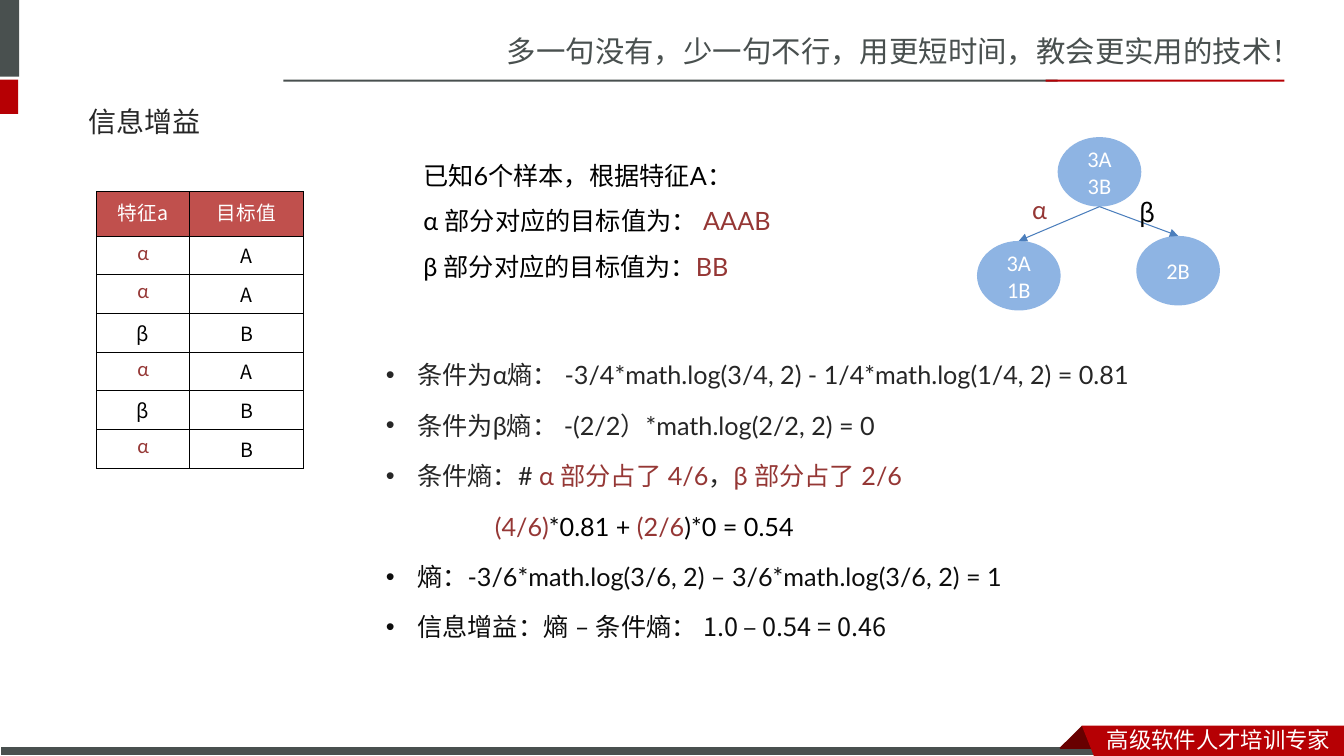
"""Build the slide on information gain, with its sample table and split tree."""
from pptx import Presentation, util as u
from pptx.dml.color import RGBColor
from pptx.enum import shapes as es, text as et
from pptx.oxml import parse_xml
from pptx.oxml.ns import nsdecls

PX = 9144
GRAY, RED, DARK, WINE = "49504F", "B60004", "262626", "953735"
BLACK, WHITE, INK = "000000", "FFFFFF", "0D0D0D"
LATO, CJK, SANS = "Lato", "Noto Sans CJK JP", "Noto Sans CJK SC"
MID, LEFT = et.PP_ALIGN.CENTER, et.PP_ALIGN.LEFT


def rgb(code):
    return RGBColor.from_string(code)


def write(frame, lines, size, font, align=LEFT, space=1.0, gap=0):
    frame.word_wrap = True
    for i, runs in enumerate(lines):
        para = frame.paragraphs[0] if i == 0 else frame.add_paragraph()
        para.alignment, para.line_spacing = align, space
        para.space_before = u.Pt(gap if i else 0)
        for words, color, *face in runs:
            run = para.add_run()
            run.text = words
            name = face[0] if face else font
            run.font.size, run.font.name = u.Pt(size), name
            run.font.color.rgb = rgb(color)
            run.font._element.append(parse_xml(f'<a:ea {nsdecls("a")} typeface="{name}"/>'))


deck = Presentation()
deck.slide_width, deck.slide_height = 1333 * PX, 750 * PX
slide = deck.slides.add_slide(deck.slide_layouts[6])
items = slide.shapes

bars = [
    (0, 0, 19, 76, GRAY), (0, 79, 18, 34, RED),
    (281, 79, 768, 2, GRAY), (1037, 79, 237, 2, RED),
    (0, 741, 1099, 9, GRAY),
]
for x, y, w, h, color in bars:
    bar = items.add_shape(es.MSO_SHAPE.RECTANGLE, x * PX, y * PX, w * PX, h * PX)
    bar.shadow.inherit = False
    bar.fill.solid()
    bar.fill.fore_color.rgb = rgb(color)
    bar.line.fill.background()
bar.line.color.rgb = rgb(WHITE)
bar.line.width = u.Pt(0.75)

folds = [
    ([(1073, 720), (1095, 742), (1094, 743), (1052, 743), (1051, 742)], "680000"),
    ([(1073, 720), (1333, 720), (1333, 750), (1085, 750)], RED),
]
for points, color in folds:
    path = items.build_freeform(*points[0], scale=PX)
    path.add_line_segments(points[1:], close=True)
    fold = path.convert_to_shape()
    fold.shadow.inherit = False
    fold.fill.solid()
    fold.fill.fore_color.rgb = rgb(color)
    fold.line.fill.background()

grid = items.add_table(7, 2, 96 * PX, 190 * PX, 205 * PX, 272 * PX).table
grid.first_row = grid.horz_banding = False
for col, w in zip(grid.columns, (92, 113)):
    col.width = w * PX
rows = [("特征a", "目标值"), *zip("ααβαβα", "AABABB")]
for r, row in enumerate(rows):
    grid.rows[r].height = (38 if r else 44) * PX
    for c, words in enumerate(row):
        cell = grid.cell(r, c)
        props = cell._tc.get_or_add_tcPr()
        for side in "LRTB":
            props.append(parse_xml(
                f'<a:ln{side} {nsdecls("a")} w="6350"><a:solidFill>'
                f'<a:srgbClr val="{BLACK}"/></a:solidFill></a:ln{side}>'))
        alpha = words == "α"
        color = WINE if alpha else BLACK if r else WHITE
        write(cell.text_frame, [[(words, color)]], 14, LATO if alpha else CJK, MID)
        if r:
            cell.fill.background()
        else:
            cell.fill.solid()
            cell.fill.fore_color.rgb = rgb("C0504D")
            cell.vertical_anchor = et.MSO_ANCHOR.MIDDLE
            cell.margin_left = cell.margin_right = cell.margin_top = PX
            cell.margin_bottom = 5 * PX

nodes = []
for x, y, labels in [(1049, 136, ["3A", "3B"]), (969, 239, ["3A", "1B"]), (1127, 234, ["2B"])]:
    node = items.add_shape(es.MSO_SHAPE.OVAL, x * PX, y * PX, 83 * PX, 69 * PX)
    node.shadow.inherit = False
    node.fill.solid()
    node.fill.fore_color.rgb = rgb("8EB4E3")
    node.line.fill.background()
    node.text_frame.vertical_anchor = et.MSO_ANCHOR.MIDDLE
    write(node.text_frame, [[(label, WHITE)] for label in labels], 16, "Calibri", MID)
    nodes.append(node)
root = nodes[0]
for leaf in nodes[1:]:
    edge = items.add_connector(
        es.MSO_CONNECTOR.STRAIGHT,
        root.left + root.width // 2, root.top + root.height,
        leaf.left + leaf.width // 2, leaf.top)
    edge.line.color.rgb = rgb("4B7EBC")
    edge.line.width = u.Pt(0.75)
    edge.line._get_or_add_ln().append(parse_xml(f'<a:tailEnd {nsdecls("a")} type="triangle"/>'))
    edge._element.spPr.append(parse_xml(f'<a:effectLst {nsdecls("a")}/>'))

given = [
    [("已知6个样本，根据特征A：", BLACK)],
    [("α 部分对应的目标值为： ", BLACK), ("AAAB", WINE)],
    [("β 部分对应的目标值为：", BLACK), ("BB", WINE)],
]
steps = [
    [("条件为α熵： -3/4*math.log(3/4, 2) - 1/4*math.log(1/4, 2) = 0.81", DARK)],
    [("条件为β熵： -(2/2）*math.log(2/2, 2) = 0", DARK)],
    [("条件熵：# ", DARK), ("α 部分占了 4/6", WINE), ("，", DARK), ("β 部分占了 2/6", WINE)],
    [("(4/6)", WINE), ("*0.81 + ", BLACK), ("(2/6", WINE), (")*0 = 0.54", BLACK)],
    [("熵：-3/6*math.log(3/6, 2) – 3/6*math.log(3/6, 2) = 1", INK)],
    [("信息增益：熵 – 条件熵： ", INK), ("1.0 – 0.54 = 0.46", INK, CJK)],
]
motto = "多一句没有，少一句不行，用更短时间，教会更实用的技术！"
texts = [
    (493, 28, 840, 47, [[(motto, GRAY)]], 21, SANS, LEFT, 1.0, 0),
    (1088, 715, 245, 35, [[("高级软件人才培训专家", WHITE)]], 16, SANS, LEFT, 1.0, 0),
    (78, 92, 706, 57, [[("信息增益", DARK)]], 20, LATO, LEFT, 1.0, 0),
    (410, 139, 540, 142, given, 18, LATO, LEFT, 1.5, 0),
    (1012, 188, 38, 40, [[("α", WINE)]], 18, LATO, MID, 1.0, 0),
    (1119, 191, 39, 40, [[("β", BLACK)]], 18, CJK, MID, 1.0, 0),
    (373, 337, 864, 320, steps, 18, LATO, LEFT, 1.5, 3.6),
]
for x, y, w, h, lines, *style in texts:
    box = items.add_textbox(x * PX, y * PX, w * PX, h * PX)
    if lines[0][0][0] == "信息增益":
        box.text_frame.vertical_anchor = et.MSO_ANCHOR.MIDDLE
    write(box.text_frame, lines, *style)

for i, para in enumerate(box.text_frame.paragraphs):
    props = para._p.get_or_add_pPr()
    if i == 3:
        para.level = 1
        props.set("marL", str(108 * PX))
        props.set("indent", "0")
    else:
        props.set("marL", str(31 * PX))
        props.set("indent", str(-31 * PX))
        props.append(parse_xml(f'<a:buFont {nsdecls("a")} typeface="Arial"/>'))
        props.append(parse_xml(f'<a:buChar {nsdecls("a")} char="•"/>'))

deck.save("out.pptx")
